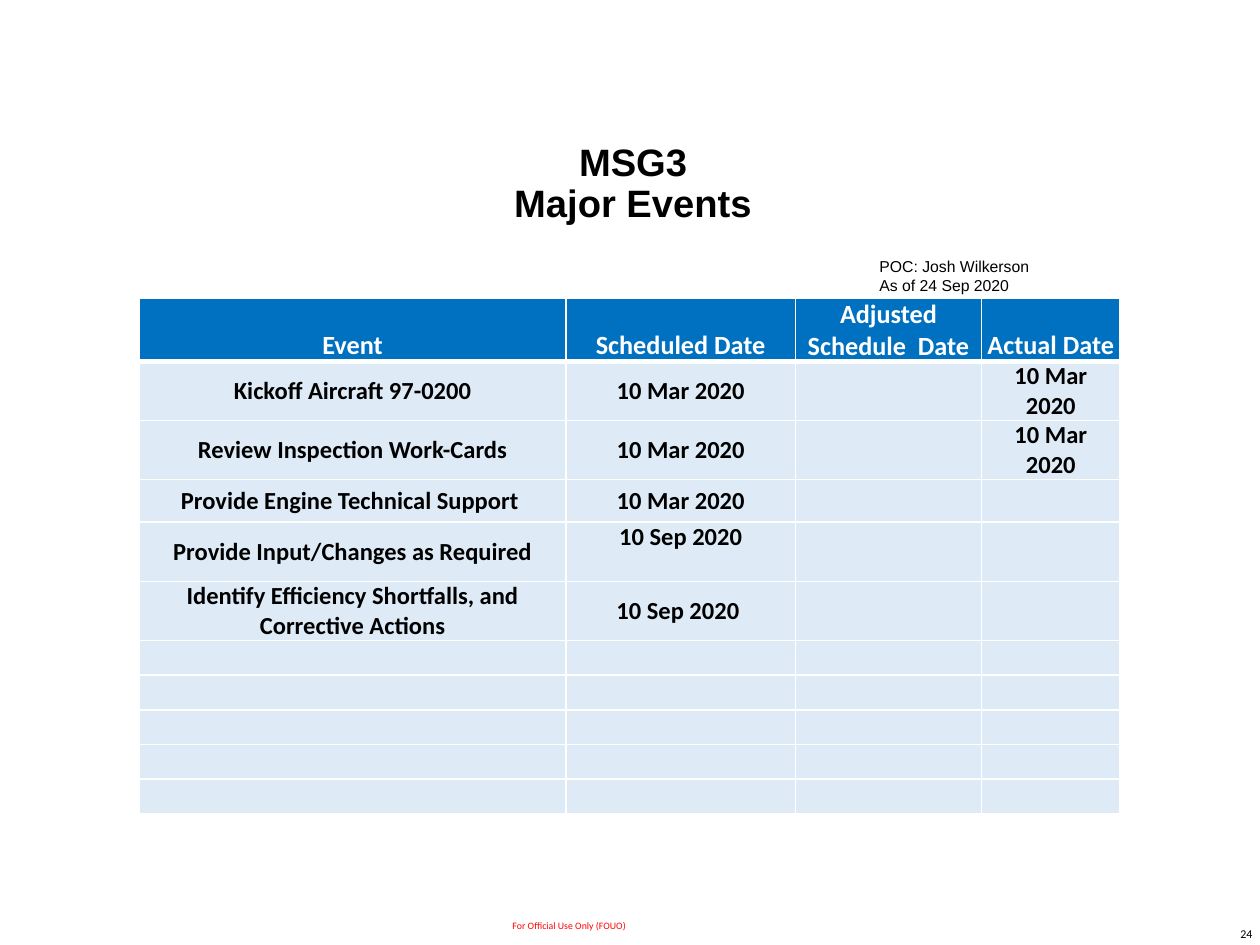
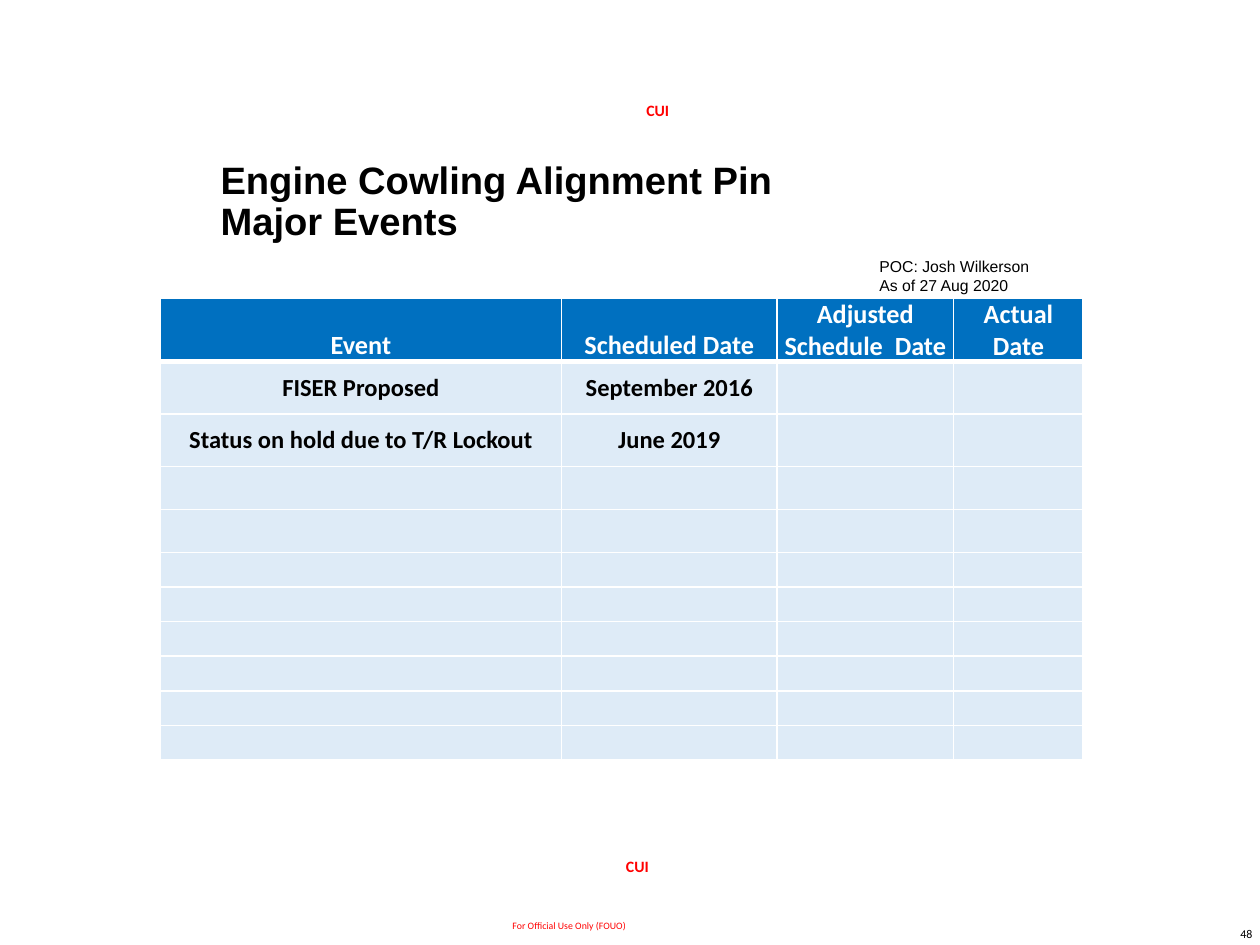
from lxml.etree import SubElement
from pptx import Presentation
from pptx.dml.color import RGBColor
from pptx.enum.text import MSO_ANCHOR, MSO_AUTO_SIZE, PP_ALIGN
from pptx.oxml.ns import qn
from pptx.util import Pt

BLACK, WHITE, RED = "000000", "FFFFFF", "FF0000"
HEADER_BLUE, ROW_BLUE = "0070C0", "DEEBF7"
HEADING_FONT, TABLE_FONT = "Arial", "Calibri"
TITLE_ONLY_LAYOUT = 5
TABLE_TOP = 170.6
HEADINGS = ["Event", "Scheduled Date", "Adjusted Schedule  Date", "Actual Date"]


def color(value):
    """Turn a hex string into a colour."""
    return RGBColor.from_string(value)


def add_run(paragraph, text, size, font, tint, bold=False):
    """Append one formatted run to a paragraph."""
    run = paragraph.add_run()
    run.text = text
    run.font.size = Pt(size)
    run.font.name = font
    run.font.bold = bold
    run.font.color.rgb = color(tint)


def set_insets(target, horizontal, vertical):
    """Set the same inset on opposite sides of a cell or text frame."""
    target.margin_left = target.margin_right = Pt(horizontal)
    target.margin_top = target.margin_bottom = Pt(vertical)


def add_text(slide, box, lines, size, font, tint=BLACK, bold=False, wrap=True):
    """Add a text box with one paragraph per line and return its frame."""
    shape = slide.shapes.add_textbox(*(Pt(length) for length in box))
    frame = shape.text_frame
    frame.word_wrap = wrap
    for index, line in enumerate(lines):
        paragraph = frame.add_paragraph() if index else frame.paragraphs[0]
        add_run(paragraph, line, size, font, tint, bold)
    return frame


def set_title(slide, lines, alignment, anchor):
    """Place the title and write its lines with breaks between them."""
    shape = slide.shapes.title
    shape.left, shape.top, shape.width, shape.height = Pt(118.8), Pt(82), Pt(486), Pt(67.7)
    frame = shape.text_frame
    frame.word_wrap = True
    frame.auto_size = MSO_AUTO_SIZE.NONE
    frame.vertical_anchor = anchor
    set_insets(frame, 7.2, 0)
    paragraph = frame.paragraphs[0]
    paragraph.alignment = alignment
    paragraph.line_spacing = 0.9
    for index, line in enumerate(lines):
        if index:
            paragraph.add_line_break()
        add_run(paragraph, line, 21.8, HEADING_FONT, BLACK, bold=True)


def add_footer(slide, number):
    """Add the handling notice and the slide number."""
    add_text(slide, (285.8, 522, 81.4, 14.4), ["For Official Use Only (FOUO)"],
             5.6, TABLE_FONT, RED, wrap=False)
    frame = add_text(slide, (570, 504, 150, 36), [number], 6.8, TABLE_FONT)
    set_insets(frame, 4.3, 2.2)
    frame.vertical_anchor = MSO_ANCHOR.BOTTOM
    frame.paragraphs[0].alignment = PP_ALIGN.RIGHT


def add_marking(slide, left, top):
    """Add a red classification marking."""
    add_text(slide, (left, top, 27.4, 18), ["CUI"], 9, TABLE_FONT, RED, bold=True, wrap=False)


def set_borders(cell, top, bottom):
    """Draw white cell borders, with separate top and bottom widths."""
    properties = cell._tc.get_or_add_tcPr()
    for side, width in (("L", 1), ("R", 1), ("T", top), ("B", bottom)):
        line = SubElement(properties, qn(f"a:ln{side}"), w=str(Pt(width)))
        fill = SubElement(line, qn("a:solidFill"))
        SubElement(fill, qn("a:srgbClr"), val=WHITE)


def fill_cell(cell, text, row_index):
    """Format one table cell according to its row and write its text."""
    is_header = row_index == 0
    set_borders(cell, 3 if row_index == 1 else 1, 3 if is_header else 1)
    cell.fill.solid()
    cell.fill.fore_color.rgb = color(HEADER_BLUE if is_header else ROW_BLUE)
    set_insets(cell, 2.9, 0)
    cell.vertical_anchor = MSO_ANCHOR.BOTTOM if is_header else MSO_ANCHOR.MIDDLE
    paragraph = cell.text_frame.paragraphs[0]
    paragraph.alignment = PP_ALIGN.CENTER
    if text:
        add_run(paragraph, text, 15 if is_header else 14, TABLE_FONT,
                WHITE if is_header else BLACK, bold=True)
    else:
        paragraph._p.get_or_add_endParaRPr().set("sz", "1400")


def add_event_table(slide, left, widths, heights, events):
    """Add the event table, leaving the rows after the events empty."""
    frame = slide.shapes.add_table(len(heights), len(widths), Pt(left), Pt(TABLE_TOP),
                                   Pt(sum(widths)), Pt(sum(heights)))
    table = frame.table
    table.horz_banding = False
    for column, width in zip(table.columns, widths):
        column.width = Pt(width)
    rows = [HEADINGS] + events
    for row_index, height in enumerate(heights):
        table.rows[row_index].height = Pt(height)
        texts = rows[row_index] if row_index < len(rows) else []
        for column_index in range(len(widths)):
            text = texts[column_index] if column_index < len(texts) else ""
            fill_cell(table.cell(row_index, column_index), text, row_index)
    return table


def add_event_slide(presentation, number, title, alignment, anchor, as_of):
    """Add a slide with its title, contact note and footer."""
    slide = presentation.slides.add_slide(presentation.slide_layouts[TITLE_ONLY_LAYOUT])
    add_footer(slide, number)
    set_title(slide, title, alignment, anchor)
    add_text(slide, (495.4, 143.3, 109.4, 28.8),
             ["POC: Josh Wilkerson", f"As of {as_of}"], 9, HEADING_FONT)
    return slide


def main():
    """Build and save both event slides."""
    presentation = Presentation()
    presentation.slide_width, presentation.slide_height = Pt(720), Pt(540)

    inspection = add_event_slide(presentation, "24", ["MSG3", "Major Events"],
                                 PP_ALIGN.CENTER, MSO_ANCHOR.TOP, "24 Sep 2020")
    table = add_event_table(
        inspection, 79.5, [244, 131, 106.5, 79], [36, 30, 30, 24.5, 34, 32.5] + [19.8] * 5,
        [["Kickoff Aircraft 97-0200", "10 Mar 2020", "", "10 Mar 2020"],
         ["Review Inspection Work-Cards", "10 Mar 2020", "", "10 Mar 2020"],
         ["Provide Engine Technical Support ", "10 Mar 2020"],
         ["Provide Input/Changes as Required", "10 Sep 2020"],
         ["Identify Efficiency Shortfalls, and Corrective Actions", "10 Sep 2020 "]])
    table.cell(4, 1).vertical_anchor = MSO_ANCHOR.TOP

    cowling = add_event_slide(presentation, "48",
                              ["Engine Cowling Alignment Pin ", "Major Events"],
                              PP_ALIGN.LEFT, MSO_ANCHOR.MIDDLE, "27 Aug 2020")
    add_event_table(
        cowling, 91.5, [229.5, 123, 101, 74], [36, 30, 30, 24.5, 24.5] + [19.8] * 6,
        [["FISER Proposed", "September 2016"],
         ["Status on hold due to T/R Lockout", "June 2019"]])
    add_marking(cowling, 350.6, 486)
    add_marking(cowling, 362.2, 54)

    presentation.save("out.pptx")


if __name__ == "__main__":
    main()
